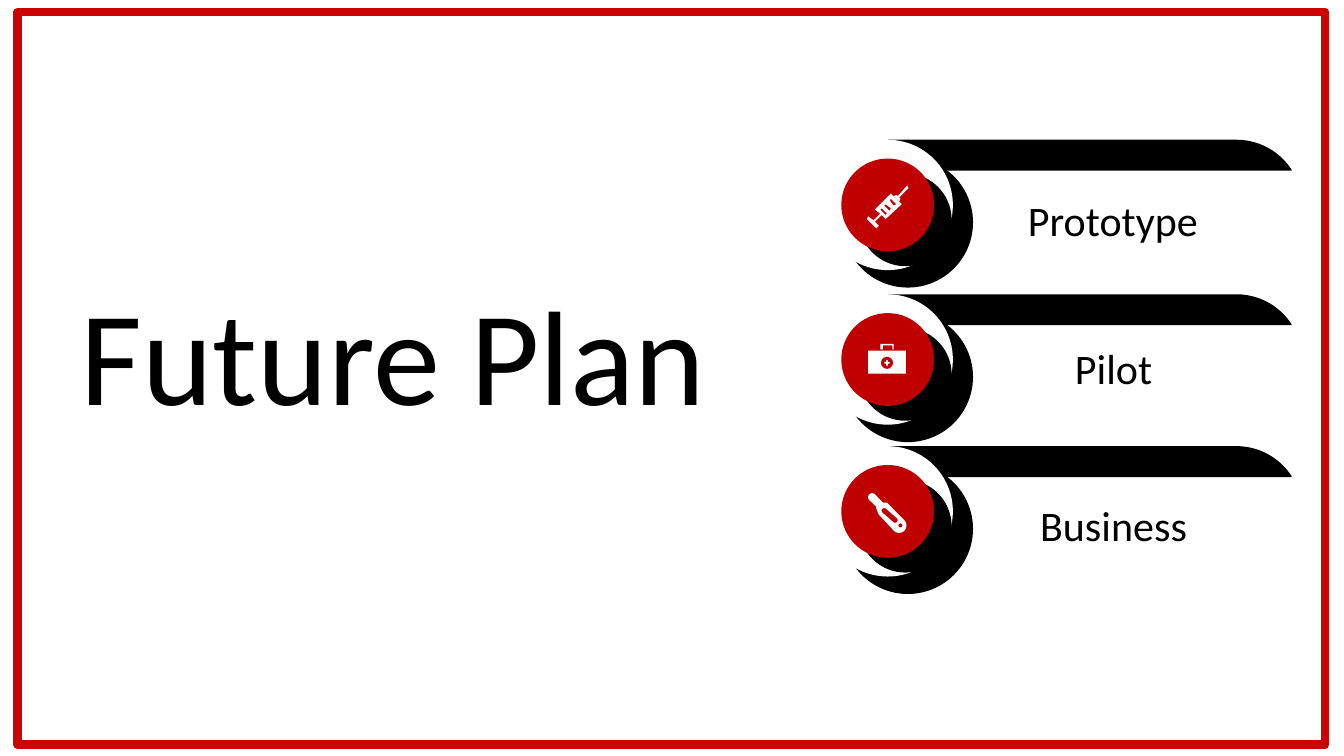
"""Build the Future Plan slide with three illustrated steps."""
from dataclasses import dataclass
from math import cos, radians, sin

from pptx import Presentation
from pptx.dml.color import RGBColor
from pptx.enum.shapes import MSO_SHAPE
from pptx.enum.text import MSO_AUTO_SIZE
from pptx.shapes.shapetree import SlideShapes
from pptx.util import Emu, Pt

Point = tuple[float, float]
Contour = list[Point]
Icon = list[list[Contour]]

PX = 9144
SLIDE_WIDTH = 1000
SLIDE_HEIGHT = SLIDE_WIDTH * 9 / 16
BLACK = RGBColor(0x00, 0x00, 0x00)
WHITE = RGBColor(0xFF, 0xFF, 0xFF)
CRIMSON = RGBColor(0xC0, 0x00, 0x00)
FRAME_RED = RGBColor(0xCD, 0x03, 0x03)
FONT = "Calibri"
BADGE_X = 661
BADGE_RADIUS = 49
BAR_HEIGHT = 23
BAR_ARC_X = 920


@dataclass(frozen=True)
class Disc:
    """A circle given by its left and top offset from the badge and its size."""
    dx: int
    dy: int
    size: int
    color: RGBColor


@dataclass(frozen=True)
class Label:
    """A one-line text and its box."""
    text: str
    left: int
    top: int
    width: int
    height: int
    points: float


@dataclass(frozen=True)
class Step:
    """A step of the plan with its label and icon."""
    top: int
    label: Label
    icon: Icon


def px(length: float) -> Emu:
    """Turn px into EMU."""
    return Emu(round(length * PX))


def arc(x: float, y: float, radius: float, start: int, end: int) -> Contour:
    """Return points along a circle, with angles in degrees."""
    step = 3 if end > start else -3
    return [(x + radius * cos(radians(a)), y + radius * sin(radians(a)))
            for a in range(start, end + step, step)]


def draw_outline(shapes: SlideShapes, contours: list[Contour], color: RGBColor,
                 x: int = 0, y: int = 0) -> None:
    """Draw a filled outline, whose later contours are holes."""
    placed = [[(px(x + dx), px(y + dy)) for dx, dy in contour] for contour in contours]
    builder = shapes.build_freeform(*placed[0][0])
    builder.add_line_segments(placed[0][1:], close=True)
    for hole in placed[1:]:
        builder.move_to(*hole[0])
        builder.add_line_segments(hole[1:], close=True)
    outline = builder.convert_to_shape()
    outline.shadow.inherit = False
    outline.fill.solid()
    outline.fill.fore_color.rgb = color
    outline.line.fill.background()


def draw_disc(shapes: SlideShapes, disc: Disc, top: int) -> None:
    """Draw one circle of a badge."""
    circle = shapes.add_shape(MSO_SHAPE.OVAL, px(BADGE_X + disc.dx), px(top + disc.dy),
                              px(disc.size), px(disc.size))
    circle.shadow.inherit = False
    circle.fill.solid()
    circle.fill.fore_color.rgb = disc.color
    circle.line.fill.background()


def draw_label(shapes: SlideShapes, label: Label) -> None:
    """Draw a text that does not wrap."""
    box = shapes.add_textbox(px(label.left), px(label.top), px(label.width), px(label.height))
    frame = box.text_frame
    frame.text = label.text
    frame.word_wrap = False
    frame.auto_size = MSO_AUTO_SIZE.SHAPE_TO_FIT_TEXT
    font = frame.paragraphs[0].runs[0].font
    font.name = FONT
    font.size = Pt(label.points)
    font.color.rgb = BLACK


def draw_frame(shapes: SlideShapes) -> None:
    """Draw the red border of the slide."""
    border = shapes.add_shape(MSO_SHAPE.RECTANGLE, px(13), px(9), px(973), px(545))
    border.shadow.inherit = False
    border.fill.background()
    border.line.color.rgb = FRAME_RED
    border.line.width = Pt(4.5)


def draw_step(shapes: SlideShapes, step: Step) -> None:
    """Draw the bar, badge, icon and label of a step."""
    draw_label(shapes, step.label)
    center_y = step.top + BADGE_RADIUS
    bar = [(BADGE_X, step.top + BAR_HEIGHT), (BADGE_X, step.top),
           *arc(BAR_ARC_X, center_y, BADGE_RADIUS, -90, -33),
           (961, step.top + BAR_HEIGHT)]
    draw_outline(shapes, [bar], BLACK)
    for disc in BADGE:
        draw_disc(shapes, disc, step.top)
    for part in step.icon:
        draw_outline(shapes, part, WHITE, BADGE_X, center_y)


BADGE = [
    Disc(-34, 13, 97, BLACK),
    Disc(-49, 0, 97, WHITE),
    Disc(-22, 25, 69, BLACK),
    Disc(-35, 14, 69, CRIMSON),
]
SYRINGE: Icon = [
    [
        [(-2, 10), (10, -1), (2, -9), (-10, 3), (-6, 6), (-11, 11), (-15, 8),
         (-16, 10), (-9, 17), (-7, 15), (-10, 12), (-5, 7)],
        [(2, -5), (6, -1), (4, 0), (1, -4)],
        [(-2, -1), (2, 2), (1, 4), (-3, 0)],
        [(-5, 2), (-1, 6), (-2, 7), (-6, 3)],
    ],
    [[(9, -5), (8, -6), (15, -13), (14, -15), (7, -7), (6, -8), (4, -7), (8, -3)]],
]
FIRST_AID_KIT: Icon = [
    [[(-6, -12), (-6, -8), (-4, -8), (-4, -11), (3, -11), (3, -8), (4, -8), (4, -12)]],
    [[(-15, -7), (-15, 10), (13, 10), (13, -7)], arc(-1, 2, 4.5, 0, 357)],
    [[(1, 1.4), (-0.4, 1.4), (-0.4, 0), (-1.6, 0), (-1.6, 1.4), (-3, 1.4),
      (-3, 2.6), (-1.6, 2.6), (-1.6, 4), (-0.4, 4), (-0.4, 2.6), (1, 2.6)]],
]
THERMOMETER: Icon = [
    [
        [(-1, -7), (-4, -7), (-5, -8), *arc(-12, -11, 3, -45, -225), (-9, -4),
         (-9, -3), (-8, 0), (-7, 2), *arc(8, 10, 5.5, 135, -45), (0, -6)],
        arc(9, 10, 1.5, 0, 357),
        [*arc(5, 6, 2, -45, 135), *arc(-3, -1, 2, 135, 315)],
    ],
]
STEPS = [
    Step(104, Label("Prototype", 755, 140, 149, 48, 22.5), SYRINGE),
    Step(219, Label("Pilot", 790, 250, 78, 48, 22.5), FIRST_AID_KIT),
    Step(332, Label("Business", 764, 367, 130, 48, 22.5), THERMOMETER),
]
TITLE = Label("Future Plan", 50, 197, 492, 131, 72)


def main() -> None:
    """Build and save the slide."""
    deck = Presentation()
    deck.slide_width, deck.slide_height = px(SLIDE_WIDTH), px(SLIDE_HEIGHT)
    shapes = deck.slides.add_slide(deck.slide_layouts[6]).shapes
    draw_frame(shapes)
    for step in STEPS:
        draw_step(shapes, step)
    draw_label(shapes, TITLE)
    deck.save("out.pptx")


if __name__ == "__main__":
    main()
